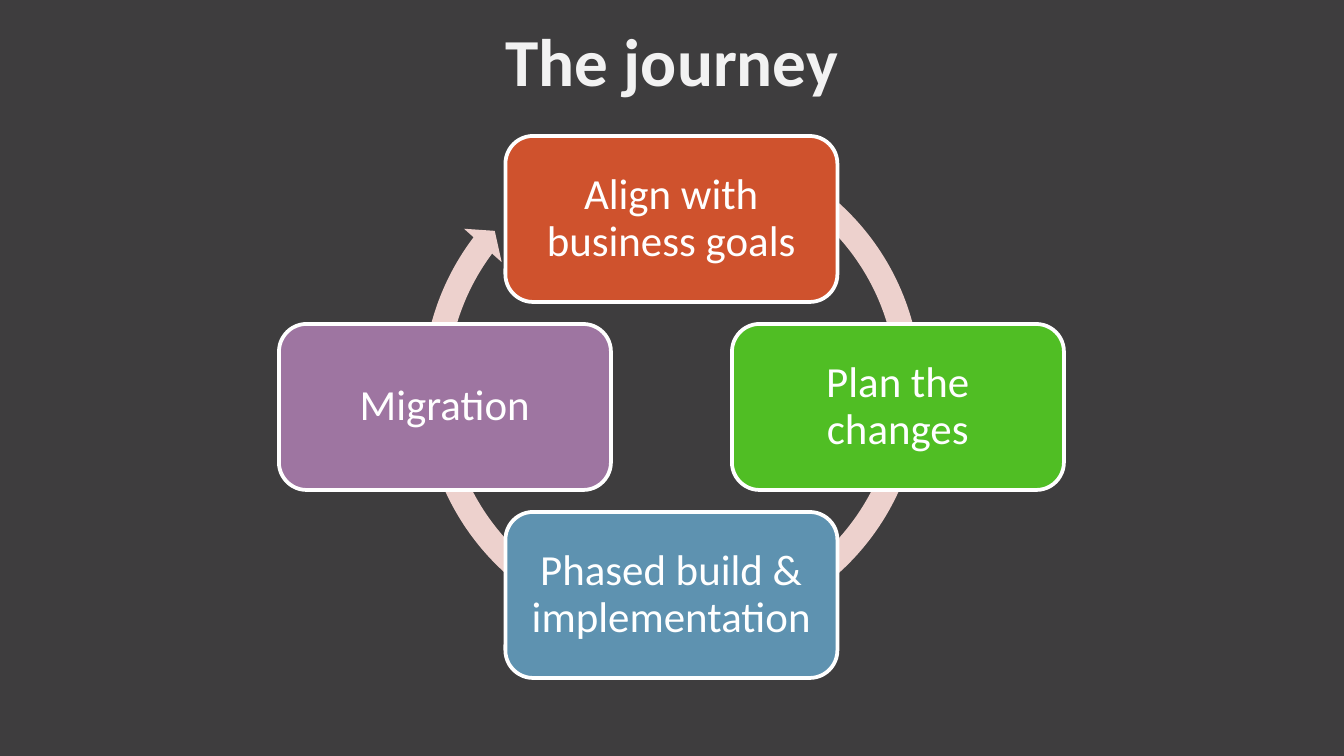
import pptx
import pptx.util
import pptx.dml.color
import pptx.enum.shapes
import pptx.enum.text

SCALE = 914400 / 134.4
SHAPE = pptx.enum.shapes.MSO_SHAPE
STEPS = [
    ("Align with business goals", "CF522D", 0, -1),
    ("Plan the changes", "50BE24", 1, 0),
    ("Phased build & implementation", "5E92B0", 0, 1),
    ("Migration", "9E75A1", -1, 0),
]


def px(size):
    return pptx.util.Emu(round(size * SCALE))


def tint(code):
    return pptx.dml.color.RGBColor.from_string(code)


def paint(fill, code):
    fill.solid()
    fill.fore_color.rgb = tint(code)


def write(frame, text, size, code, gap, bold=False):
    frame.vertical_anchor = pptx.enum.text.MSO_ANCHOR.MIDDLE
    line = frame.paragraphs[0]
    line.alignment = pptx.enum.text.PP_ALIGN.CENTER
    line.line_spacing = gap
    run = line.add_run()
    run.text = text
    run.font.name = "Calibri"
    run.font.size = pptx.util.Pt(size)
    run.font.bold = bold
    run.font.color.rgb = tint(code)


def add_title(slide, left, top, width, height):
    title = slide.shapes.title
    title.left, title.top = px(left), px(top)
    title.width, title.height = px(width), px(height)
    title.text_frame.word_wrap = False
    write(title.text_frame, "The journey", 36, "F2F2F2", 0.85, True)


def add_ring(shapes, left, top, size):
    ring = shapes.add_shape(SHAPE.CIRCULAR_ARROW, px(left), px(top), px(size), px(size))
    for index, value in enumerate([0.047, 2.729, 130.198, 179.037, 0.048]):
        ring.adjustments[index] = value
    ring.shadow.inherit = False
    paint(ring.fill, "EDD1CD")
    ring.line.fill.background()


def add_step(shapes, left, top, width, height, text, code):
    card = shapes.add_shape(
        SHAPE.ROUNDED_RECTANGLE, px(left), px(top), px(width), px(height))
    card.shadow.inherit = False
    paint(card.fill, code)
    paint(card.line.fill, "FFFFFF")
    card.line.width = pptx.util.Pt(2)
    frame = card.text_frame
    frame.word_wrap = True
    frame.margin_left = frame.margin_right = px(14)
    frame.margin_top = frame.margin_bottom = px(14)
    write(frame, text, 23, "FFFFFF", 0.9)


def add_cycle(slide, left, top, width, height):
    shapes = slide.shapes.add_group_shape().shapes
    wide, high = 332, 166
    add_ring(shapes, left + 131, top - 10, 524)
    for text, code, across, down in STEPS:
        x = left + (width - wide) * (1 + across) / 2
        y = top + (height - high) * (1 + down) / 2
        add_step(shapes, x, y, wide, high, text, code)


def main():
    deck = pptx.Presentation()
    deck.slide_width, deck.slide_height = px(1344), px(756)
    slide = deck.slides.add_slide(deck.slide_layouts[5])
    paint(slide.background.fill, "3E3D3E")
    add_title(slide, 0, 29, 1344, 74)
    add_cycle(slide, 279, 136, 785, 542)
    deck.save("out.pptx")


if __name__ == "__main__":
    main()
